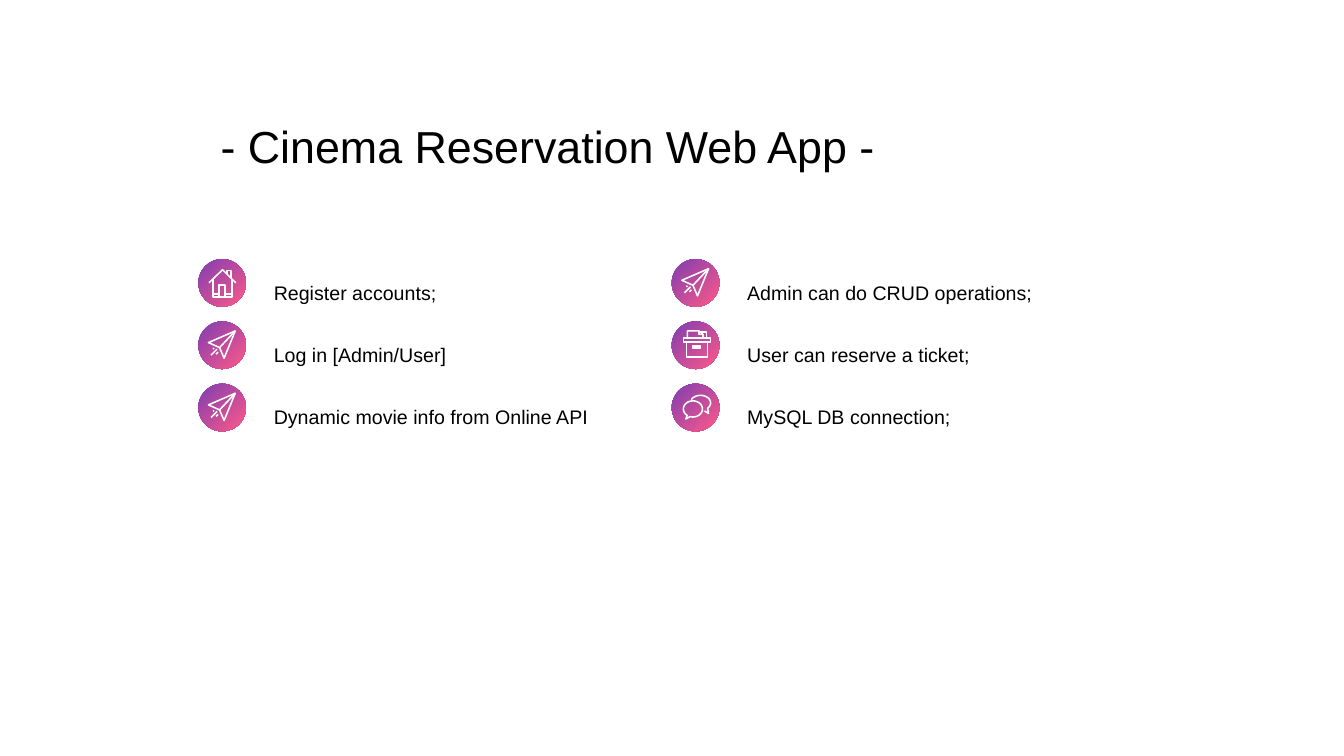
"""Build the feature overview slide of a cinema reservation web app."""
from dataclasses import dataclass
from math import cos, radians, sin

from pptx import Presentation
from pptx.dml.color import RGBColor
from pptx.enum.shapes import MSO_SHAPE
from pptx.enum.text import MSO_ANCHOR, MSO_AUTO_SIZE, PP_ALIGN
from pptx.util import Cm, Pt

OVAL = MSO_SHAPE.OVAL
MIDDLE = MSO_ANCHOR.MIDDLE
FIT_SHAPE = MSO_AUTO_SIZE.SHAPE_TO_FIT_TEXT
CENTER, LEFT = PP_ALIGN.CENTER, PP_ALIGN.LEFT


@dataclass(frozen=True)
class Theme:
    font: str = "Arial"
    title_size: Pt = Pt(32)
    body_size: Pt = Pt(14)
    stroke: Pt = Pt(1.1)
    text: RGBColor = RGBColor(0x00, 0x00, 0x00)
    icon: RGBColor = RGBColor(0xFF, 0xFF, 0xFF)
    badge: tuple = (RGBColor(0x7F, 0x3E, 0xB2), RGBColor(0xFF, 0x59, 0x88))


THEME = Theme()
BADGE_SIZE = Cm(1.2)
BADGE_TOP, BADGE_PITCH = Cm(6.53), Cm(1.57)
TEXT_TOP, TEXT_HEIGHT = Cm(5.97), Cm(4.72)
TEXT_OFFSET = Cm(1.9)
ICON_UNIT = Cm(0.00254)


def arc(cx, cy, rx, ry, start, end, steps=24):
    """Return points along an elliptical arc, with angles in degrees."""
    angles = [radians(start + (end - start) * i / steps) for i in range(steps + 1)]
    return [(cx + rx * cos(a), cy + ry * sin(a)) for a in angles]


def rect(left, top, right, bottom):
    """Return the closed outline of a rectangle."""
    return [(left, top), (right, top), (right, bottom), (left, bottom), (left, top)]


HOUSE = [
    [(105, 235), (240, 105), (370, 235)],
    [(145, 200), (145, 375), (335, 375), (335, 200)],
    [(205, 375), (205, 255), (265, 255), (265, 375)],
    [(285, 145), (285, 115), (325, 115), (325, 185)],
    [(145, 345), (205, 345)],
    [(265, 345), (335, 345)],
]
PLANE = [
    [(100, 210), (365, 95), (255, 365), (210, 260), (100, 210)],
    [(210, 260), (365, 95)],
    [(125, 335), (185, 275)],
    [(175, 325), (195, 305)],
    [(145, 275), (155, 265)],
]
ARCHIVE = [
    rect(115, 165, 385, 205),
    [(145, 205), (145, 355), (355, 355), (355, 205)],
    [(155, 165), (155, 95), (270, 95), (310, 130), (310, 165)],
    [(270, 95), (270, 130), (310, 130)],
    [(285, 105), (345, 105), (345, 165)],
    rect(205, 245, 285, 265),
]
front_bubble = arc(210, 250, 95, 80, 108, -233)
CHAT = [
    front_bubble + [(140, 350), front_bubble[0]],
    arc(285, 190, 100, 75, 205, 405) + [(365, 295), (325, 270)],
]

COLUMNS = [
    (Cm(5), Cm(8.94), [
        (HOUSE, "Register accounts;"),
        (PLANE, "Log in [Admin/User]"),
        (PLANE, "Dynamic movie info from Online API"),
    ]),
    (Cm(16.93), Cm(7.47), [
        (PLANE, "Admin can do CRUD operations;"),
        (ARCHIVE, "User can reserve a ticket;"),
        (CHAT, "MySQL DB connection;"),
    ]),
]


def add_badge(s, left, top):
    """Draw a round badge with a diagonal gradient."""
    sp = s.shapes.add_shape(OVAL, left, top, BADGE_SIZE, BADGE_SIZE)
    sp.shadow.inherit = False
    sp.line.fill.background()
    sp.fill.gradient()
    sp.fill.gradient_angle = 315
    for stop, color in zip(sp.fill.gradient_stops, THEME.badge):
        stop.color.rgb = color


def add_icon(s, left, top, strokes):
    """Draw one line icon as a single freeform."""
    builder = s.shapes.build_freeform(*strokes[0][0], scale=ICON_UNIT)
    for i, stroke in enumerate(strokes):
        if i:
            builder.move_to(*stroke[0])
        builder.add_line_segments(stroke[1:], close=False)
    sp = builder.convert_to_shape(left, top)
    sp.shadow.inherit = False
    sp.fill.background()
    sp.line.color.rgb = THEME.icon
    sp.line.width = THEME.stroke


def add_text(s, box, text, size, spacing, align):
    """Add a text box in the slide font and return its text frame."""
    tf = s.shapes.add_textbox(*box).text_frame
    tf.text = text
    for p in tf.paragraphs:
        p.alignment = align
        p.line_spacing = spacing
        for r in p.runs:
            r.font.name = THEME.font
            r.font.size = size
            r.font.color.rgb = THEME.text
    return tf


def add_title(s, text):
    """Add the centred slide title."""
    box = Cm(2), Cm(3.07), Cm(23.93), Cm(1.37)
    tf = add_text(s, box, text, THEME.title_size, 0.9, CENTER)
    tf.word_wrap = True
    tf.vertical_anchor = MIDDLE


def add_feature_column(s, left, width, features):
    """Add a column of badges with icons and their descriptions."""
    for row, (icon, _) in enumerate(features):
        top = BADGE_TOP + row * BADGE_PITCH
        add_badge(s, left, top)
        add_icon(s, left, top, icon)
    box = left + TEXT_OFFSET, TEXT_TOP, width, TEXT_HEIGHT
    text = "\n".join(label for _, label in features)
    tf = add_text(s, box, text, THEME.body_size, 2.65, LEFT)
    tf.margin_left = 0
    tf.word_wrap = False
    tf.auto_size = FIT_SHAPE


def main():
    """Build and save the slide."""
    prs = Presentation()
    prs.slide_width, prs.slide_height = Cm(33.87), Cm(19.05)
    s = prs.slides.add_slide(prs.slide_layouts[6])
    add_title(s, "- Cinema Reservation Web App - ")
    for left, width, features in COLUMNS:
        add_feature_column(s, left, width, features)
    prs.save("out.pptx")


if __name__ == "__main__":
    main()
